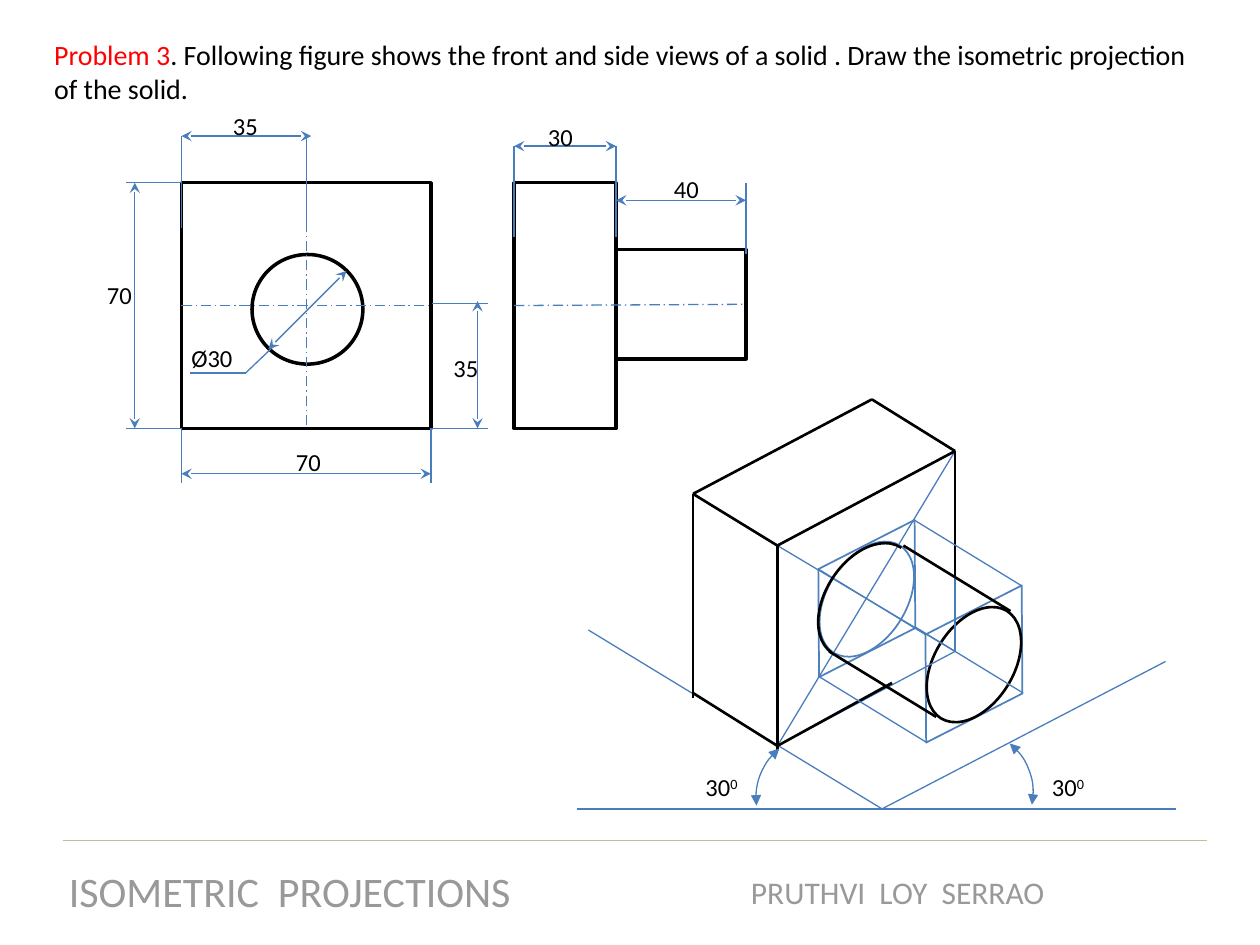
from lxml import etree
from pptx import Presentation
from pptx.dml.color import RGBColor
from pptx.enum.dml import MSO_LINE
from pptx.enum.shapes import MSO_CONNECTOR, MSO_SHAPE
from pptx.enum.text import MSO_ANCHOR, MSO_AUTO_SIZE, PP_ALIGN
from pptx.oxml.ns import qn
from pptx.util import Inches, Pt

BLACK = RGBColor(0x00, 0x00, 0x00)
WHITE = RGBColor(0xFF, 0xFF, 0xFF)
BLUE = RGBColor(0x4A, 0x7D, 0xBB)
SKY = RGBColor(0x4F, 0x81, 0xBD)
RED = RGBColor(0xFF, 0x00, 0x00)
GREY = RGBColor(0x99, 0x99, 0x99)
SAND = RGBColor(0xC4, 0xBD, 0x97)
STRAIGHT = MSO_CONNECTOR.STRAIGHT
RECT, OVAL = MSO_SHAPE.RECTANGLE, MSO_SHAPE.OVAL
RHOMB, ARC = MSO_SHAPE.DIAMOND, MSO_SHAPE.ARC
DASH = MSO_LINE.LONG_DASH_DOT
LEFT, CENTER = PP_ALIGN.LEFT, PP_ALIGN.CENTER
TOP, NONE = MSO_ANCHOR.TOP, MSO_AUTO_SIZE.NONE


def write(para, text, size=14, color=BLACK, align=LEFT, base=None):
    para.alignment = align
    run = para.add_run()
    run.text = text
    run.font.name = "Calibri"
    run.font.size = Pt(size)
    run.font.color.rgb = color
    if base:
        run._r.get_or_add_rPr().set("baseline", str(base * 1000))


class Sheet:
    def __init__(self, slide):
        self.slide = slide
        self.items = slide.shapes

    def group(self):
        self.items = self.slide.shapes.add_group_shape().shapes

    def ungroup(self):
        self.items = self.slide.shapes

    def title(self, box, parts):
        head = self.slide.shapes.title
        head.left, head.top, head.width, head.height = map(Inches, box)
        frame = head.text_frame
        frame.word_wrap = True
        frame.auto_size = NONE
        frame.vertical_anchor = TOP
        for text, color in parts:
            write(frame.paragraphs[0], text, size=16, color=color)

    def label(self, box, text, sup=None, **style):
        frame = self.items.add_textbox(*map(Inches, box)).text_frame
        frame.word_wrap = False
        para = frame.paragraphs[0]
        write(para, text, **style)
        if sup:
            write(para, sup, base=30, **style)

    def pen(self, item, color, width, dash=None, arrow=None):
        item.line.color.rgb = color
        item.line.width = Pt(width)
        if dash:
            item.line.dash_style = dash
        if arrow:
            ln = item._element.spPr.find(qn("a:ln"))
            for end in ("a:headEnd", "a:tailEnd"):
                etree.SubElement(ln, qn(end), type=arrow)

    def line(self, a, b, color=BLUE, width=0.75, dash=None, arrow=None,
             start=None, stop=None):
        item = self.items.add_connector(STRAIGHT, *map(Inches, (*a, *b)))
        self.pen(item, color, width, dash, arrow)
        etree.SubElement(item._element.spPr, qn("a:effectLst"))
        if start:
            item.begin_connect(*start)
        if stop:
            item.end_connect(*stop)

    def edge(self, a, b):
        self.line(a, b, color=BLACK, width=1.5)

    def size(self, a, b):
        self.line(a, b, arrow="stealth")

    def axis(self, a, b, start, stop):
        self.line(a, b, dash=DASH, start=start, stop=stop)

    def shape(self, kind, box, color=BLACK, width=2, turn=0):
        item = self.items.add_shape(kind, *map(Inches, box))
        item.shadow.inherit = False
        item.rotation = turn
        item.fill.solid()
        item.fill.fore_color.rgb = WHITE
        self.pen(item, color, width)
        return item

    def arc(self, box, turn, span, color=BLUE, width=0.75, arrow=None):
        item = self.items.add_shape(ARC, *map(Inches, box))
        item.shadow.inherit = False
        item.rotation = turn
        item.adjustments[0], item.adjustments[1] = span
        item.fill.background()
        self.pen(item, color, width, arrow=arrow)


def views(sheet):
    x1, x2, y1, y2 = 1.44, 3.42, 1.45, 3.4
    mx, my = 2.43, 2.42
    sx1, sx2, sx3 = 4.08, 4.89, 5.92
    sheet.group()
    front = sheet.shape(RECT, (x1, y1, x2 - x1, y2 - y1))
    sheet.shape(OVAL, (2, 2.02, 0.88, 0.87))
    sheet.axis((x1, my), (x2, my), (front, 1), (front, 3))
    sheet.axis((mx, y1), (mx, y2), (front, 0), (front, 2))
    for x in (x1, x2):
        sheet.line((x, y2), (x, 3.83))
    for y in (y1, y2):
        sheet.line((x1, y), (1, y))
    for x in (x1, mx):
        sheet.line((x, 1.08), (x, 1.81))
    sheet.size((2.13, 2.77), (2.75, 2.15))
    sheet.line((2.17, 2.75), (1.95, 2.96))
    sheet.line((1.95, 2.96), (1.51, 2.96))

    plate = sheet.shape(RECT, (sx1, y1, sx2 - sx1, y2 - y1))
    shaft = sheet.shape(RECT, (sx2, 1.98, sx3 - sx2, 0.87))
    sheet.axis((sx1, my), (sx3, my), (plate, 1), (shaft, 3))
    sheet.line((sx3, y1), (sx3, 2.02))
    for x in (sx1, sx2):
        sheet.line((x, 1.16), (x, 1.88))
    for y in (2.41, y2):
        sheet.line((3.87, y), (3.43, y))

    for a, b in (((1.07, y1), (1.07, y2)), ((x1, 3.76), (x2, 3.76)),
                 ((x1, 1.08), (2.47, 1.08)), ((sx1, 1.16), (sx2, 1.16)),
                 ((sx2, 1.59), (sx3, 1.59)), ((3.79, 2.39), (3.79, y2))):
        sheet.size(a, b)
    sheet.ungroup()


def solid(sheet):
    west, south, east, north = (5.5, 3.92), (6.17, 4.33), (7.58, 3.58), (6.92, 3.17)
    low_w, low_s, low_e = (5.5, 5.5), (6.17, 5.92), (7.58, 5.17)
    rim = ((west, south), (south, east), (east, north), (north, west))

    sheet.shape(RHOMB, (7, 4.82, 1.46, 0.9), SKY, 1, 301.3)
    sheet.shape(OVAL, (7.23, 4.96, 1, 0.63), BLACK, 1.5, 301.5)
    for a, b in rim + ((west, low_w), (south, low_s)):
        sheet.line(a, b)
    sheet.shape(RHOMB, (6.15, 4.3, 1.46, 0.9), SKY, 1, 301.3)
    sheet.shape(OVAL, (6.38, 4.44, 1, 0.63), SKY, 1, 301.5)

    base = (7, 6.42)
    for a, b in (((4.67, 5), base), ((9.25, 5.25), base),
                 ((4.58, 6.42), (9.33, 6.42)), (low_e, low_s),
                 (east, low_e), (east, low_s), (south, low_e)):
        sheet.line(a, b)
    for a, b in rim + ((low_s, low_w), (west, (5.5, 5.54)),
                       (south, (6.17, 5.95)), ((7.58, 4.58), east),
                       ((7.08, 5.42), low_s)):
        sheet.edge(a, b)

    for x, y in ((6.5, 4.52), (7.26, 4.13), (6.5, 5.37), (7.27, 4.98)):
        sheet.line((x, y), (x + 0.85, y + 0.52))
    for x, y in ((7.17, 4.33), (6.58, 5.17)):
        sheet.edge((x, y), (x + 0.85, y + 0.52))
    sheet.arc((6.38, 4.44, 1, 0.65), 303.2, (108.85, 0), BLACK, 1.5)
    sheet.arc((7.2, 5.79, 1, 1), 39, (161.99, 199.34), arrow="triangle")
    sheet.arc((6, 5.83, 1, 1), 270, (157.67, 192.65), arrow="triangle")
    for x in (5.5, 8.25):
        sheet.label((x, 6.08, 0.47, 0.34), "30", sup="0")


def main():
    deck = Presentation()
    deck.slide_width, deck.slide_height = Inches(10), Inches(7.5)
    sheet = Sheet(deck.slides.add_slide(deck.slide_layouts[5]))
    sheet.title((0.33, 0.25, 9.25, 0.64), (
        ("Problem 3", RED),
        (". Following figure shows the front and side views of a solid . "
         "Draw the isometric projection of the solid.", BLACK)))
    views(sheet)
    solid(sheet)
    for x, y, text in ((0.75, 2.17, "70"), (2.25, 3.5, "70"), (1.75, 0.83, "35"),
                       (3.5, 2.75, "35"), (4.25, 0.92, "30"), (5.25, 1.33, "40")):
        sheet.label((x, y, 0.4, 0.34), text)
    sheet.label((1.42, 2.67, 0.53, 0.34), "Ø30")
    sheet.line((9.58, 6.67), (0.5, 6.67), color=SAND)
    sheet.label((0.43, 6.82, 3.74, 0.5), "ISOMETRIC  PROJECTIONS",
                size=24, color=GREY, align=CENTER)
    sheet.label((5.85, 6.88, 2.55, 0.4), "PRUTHVI  LOY  SERRAO",
                size=18, color=GREY, align=CENTER)
    deck.save("out.pptx")


if __name__ == "__main__":
    main()
